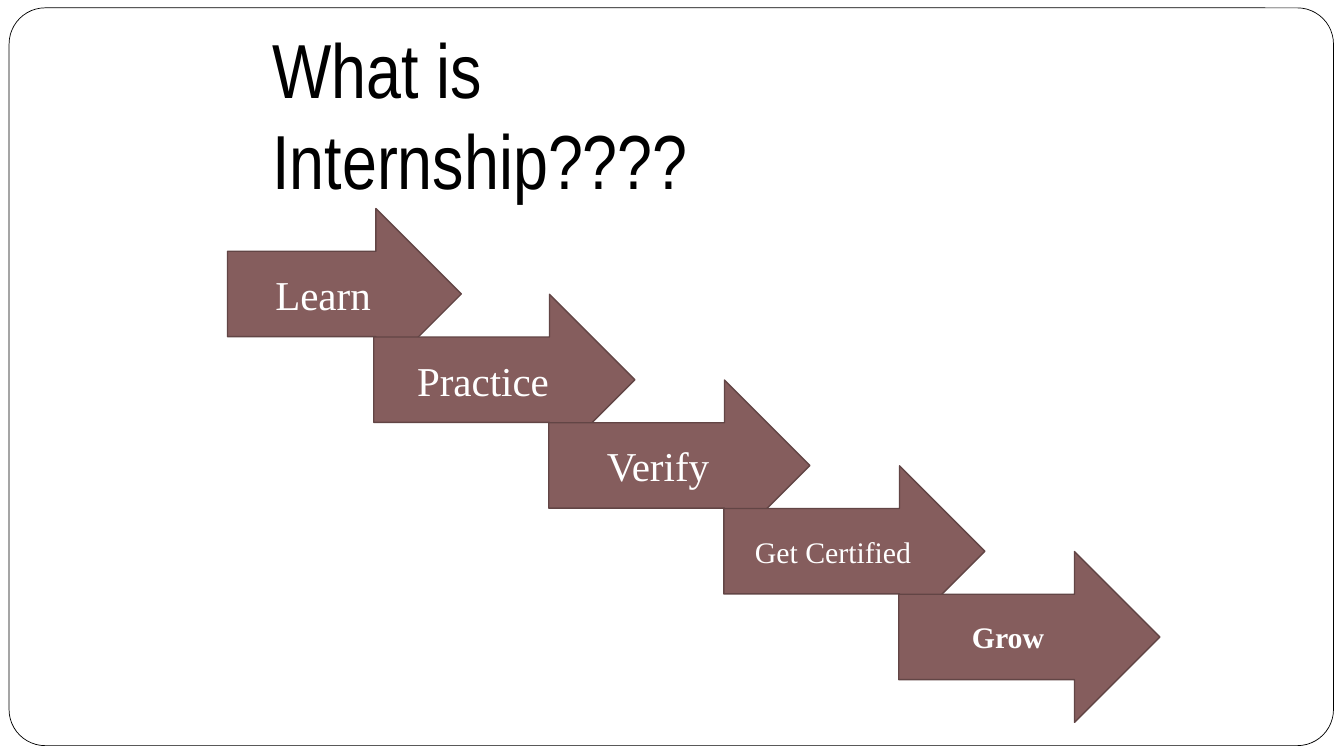
"""Build the internship slide: a title above a staircase of five arrows."""
from dataclasses import dataclass

from pptx import Presentation
from pptx.dml.color import RGBColor
from pptx.enum.shapes import MSO_SHAPE
from pptx.enum.text import MSO_ANCHOR, MSO_AUTO_SIZE, PP_ALIGN
from pptx.util import Pt


@dataclass(frozen=True)
class Theme:
    ink: RGBColor = RGBColor.from_string("000000")
    paper: RGBColor = RGBColor.from_string("FFFFFF")
    arrow: RGBColor = RGBColor.from_string("855D5D")
    edge: RGBColor = RGBColor.from_string("624545")
    title_font: str = "Arial Narrow"
    step_font: str = "Times New Roman"
    title_size: float = 54.7
    large: float = 29.3
    small: float = 21.3


theme = Theme()


def add_box(shapes, kind, box, fill, line, weight):
    sp = shapes.add_shape(kind, *map(Pt, box))
    sp.shadow.inherit = False
    sp.fill.solid()
    sp.fill.fore_color.rgb = fill
    sp.line.color.rgb = line
    sp.line.width = Pt(weight)
    return sp


def set_text(sp, text, align, color, **font):
    tf = sp.text_frame
    tf.word_wrap = True
    tf.auto_size = MSO_AUTO_SIZE.NONE
    tf.vertical_anchor = MSO_ANCHOR.MIDDLE
    p = tf.paragraphs[0]
    p.alignment = align
    r = p.add_run()
    r.text = text
    r.font.color.rgb = color
    for name, value in font.items():
        setattr(r.font, name, value)


prs = Presentation()
prs.slide_width, prs.slide_height = Pt(960), Pt(540)
s = prs.slides.add_slide(prs.slide_layouts[5])

title = s.shapes.title
frame = add_box(s.shapes, MSO_SHAPE.ROUNDED_RECTANGLE, (6.5, 5.6, 946, 527),
                theme.paper, theme.ink, 0.5)
frame.adjustments[0] = 0.049
title.element.addprevious(frame.element)

title_box = {"left": 194.5, "top": 28, "width": 443.5, "height": 106}
for name, value in title_box.items():
    setattr(title, name, Pt(value))
for side in ("left", "top", "right", "bottom"):
    setattr(title.text_frame, f"margin_{side}", 0)
set_text(title, "What is Internship????", PP_ALIGN.LEFT, theme.ink,
         name=theme.title_font, size=Pt(theme.title_size))

steps = [
    ("Learn", 162.5, 167, theme.large, False),
    ("Practice", 267, 186.5, theme.large, False),
    ("Verify", 392, 186.5, theme.large, False),
    ("Get Certified", 517, 186.5, theme.small, False),
    ("Grow", 642, 186.5, theme.small, True),
]
first_top, drop, arrow_height = 149, 61.25, 122
stairs = s.shapes.add_group_shape()
for i, (label, left, width, size, bold) in enumerate(steps):
    box = (left, first_top + i * drop, width, arrow_height)
    sp = add_box(stairs.shapes, MSO_SHAPE.RIGHT_ARROW, box, theme.arrow, theme.edge, 1)
    set_text(sp, label, PP_ALIGN.CENTER, theme.paper,
             name=theme.step_font, size=Pt(size), bold=bold)

prs.save("out.pptx")
